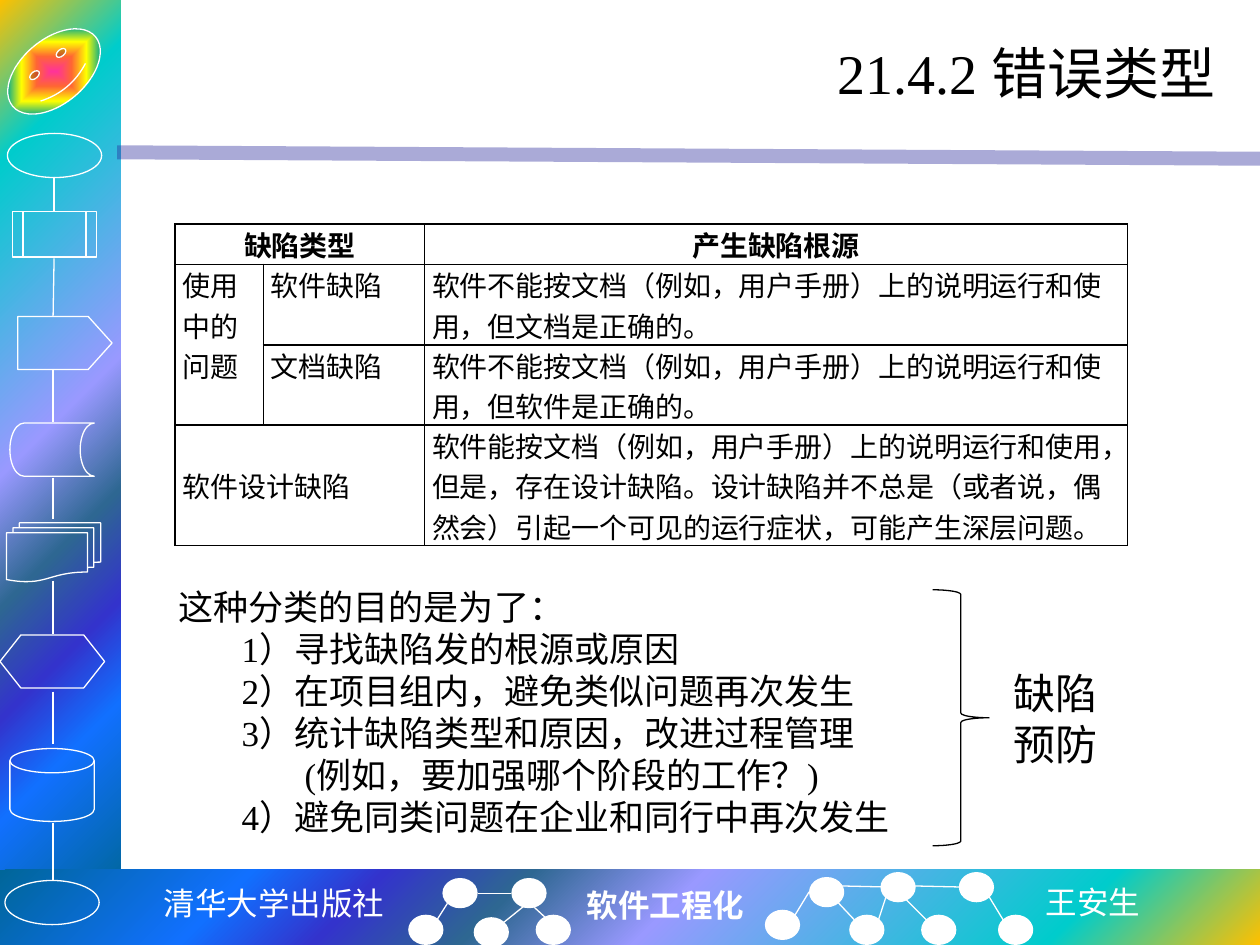
from lxml import etree
from pptx import Presentation
from pptx import util as u
from pptx.dml.color import RGBColor
from pptx.enum import shapes, text
from pptx.oxml import parse_xml
from pptx.oxml.ns import nsdecls, qn

WHITE = RGBColor(0xFF, 0xFF, 0xFF)
BLACK = RGBColor(0, 0, 0)
INDIGO = RGBColor(0x26, 0x26, 0x99)
RAINBOW = [(0, RGBColor(0xFF, 0xC0, 0x00)), (16, RGBColor(0x00, 0xCC, 0xCC)),
           (47, RGBColor(0x99, 0x99, 0xFF)), (60, RGBColor(0x2E, 0x67, 0x92)),
           (71, RGBColor(0x33, 0x33, 0xCC)), (81, RGBColor(0x11, 0x70, 0xFF)),
           (100, RGBColor(0x00, 0x66, 0x99))]
BADGE = [(0, RGBColor(0xFF, 0x33, 0x99)), (25, RGBColor(0xFF, 0x66, 0x33)),
         (50, RGBColor(0xFF, 0xFF, 0x00)), (75, RGBColor(0x01, 0xA7, 0x8F)),
         (100, RGBColor(0x33, 0x66, 0xFF))]
SERIF = "Times New Roman"
SANS = "Noto Sans CJK SC"
MONO = "Noto Sans Mono"
KIND = shapes.MSO_SHAPE
LEFT, CENTER, RIGHT = text.PP_ALIGN.LEFT, text.PP_ALIGN.CENTER, text.PP_ALIGN.RIGHT


def cm(*lengths):
    return [u.Cm(length) for length in lengths]


class SlideBuilder:
    """Holds the current slide and its shared style."""

    def __init__(self, slide):
        self.slide = slide
        self.items = slide.shapes

    def add_words(self, para, words, size, color=BLACK, bold=False, font=SERIF):
        span = para.add_run()
        span.text = words
        span.font.size = u.Pt(size)
        span.font.name = font
        span.font.bold = bold
        span.font.color.rgb = color
        east = etree.SubElement(span.font._element, qn("a:ea"))
        east.set("typeface", SANS)

    def title(self, words, *place):
        box = self.items.title
        box.left, box.top, box.width, box.height = cm(*place)
        box.text_frame.vertical_anchor = text.MSO_ANCHOR.MIDDLE
        para = box.text_frame.paragraphs[0]
        para.alignment = RIGHT
        self.add_words(para, words, 32)

    def shape(self, kind, *place, line=WHITE, fill=None):
        shape = self.items.add_shape(kind, *cm(*place))
        shape.shadow.inherit = False
        if fill is None:
            shape.fill.background()
        else:
            shape.fill.solid()
            shape.fill.fore_color.rgb = fill
        if line is None:
            shape.line.fill.background()
        else:
            shape.line.color.rgb = line
            shape.line.width = u.Pt(0.75)
        return shape

    def gradient(self, shape, stops, kind, focus):
        marks = "".join(f'<a:gs pos="{at * 1000}"><a:srgbClr val="{color}"/></a:gs>'
                        for at, color in stops)
        sides = " ".join(f'{side}="{share * 1000}"' for side, share in zip("ltrb", focus))
        fill = parse_xml(f'<a:gradFill {nsdecls("a")} rotWithShape="1"><a:gsLst>{marks}</a:gsLst>'
                         f'<a:path path="{kind}"><a:fillToRect {sides}/></a:path></a:gradFill>')
        props = shape._element.spPr
        props.replace(props.find(qn("a:noFill")), fill)

    def line(self, *ends, color=WHITE, width=0.75, alpha=None):
        line = self.items.add_connector(shapes.MSO_CONNECTOR.STRAIGHT, *cm(*ends))
        line.line.color.rgb = color
        line.line.width = u.Pt(width)
        props = line._element.spPr
        if alpha:
            tint = next(props.iter(qn("a:srgbClr")))
            etree.SubElement(tint, qn("a:alpha")).set("val", str(alpha * 1000))
        etree.SubElement(props, qn("a:effectLst"))

    def text(self, lines, *place, size, wrap=False, align=LEFT, **style):
        """Each line is a pair of words and indent level."""
        box = self.items.add_textbox(*cm(*place))
        frame = box.text_frame
        frame.word_wrap = wrap
        for number, (words, level) in enumerate(lines):
            para = frame.add_paragraph() if number else frame.paragraphs[0]
            para.level = level
            para.alignment = align
            para.line_spacing = u.Pt(size * 1.2)
            props = para._p.get_or_add_pPr()
            props.set("marL", str(u.Cm(1.27 * level)))
            props.set("indent", "0")
            self.add_words(para, words, size, **style)

    def table(self, rows, widths, heights, merges, left, top):
        frame = self.items.add_table(len(rows), len(widths),
                                     *cm(left, top, sum(widths), sum(heights)))
        table = frame.table
        table.first_row = table.horz_banding = False
        for column, width in zip(table.columns, widths):
            column.width = u.Cm(width)
        for row, height in zip(table.rows, heights):
            row.height = u.Cm(height)
        for first, last in merges:
            table.cell(*first).merge(table.cell(*last))
        for r, row in enumerate(rows):
            for c, words in enumerate(row):
                self.cell(table.cell(r, c), words, header=r == 0)
        return table

    def cell(self, cell, words, header):
        cell.margin_left = cell.margin_right = u.Cm(0.15)
        cell.margin_top = cell.margin_bottom = 0
        cell.fill.background()
        props = cell._tc.get_or_add_tcPr()
        for place, side in enumerate(("lnL", "lnR", "lnT", "lnB")):
            props.insert(place, parse_xml(
                f'<a:{side} {nsdecls("a")} w="{u.Pt(1)}"><a:solidFill>'
                f'<a:srgbClr val="{BLACK}"/></a:solidFill></a:{side}>'))
        if words:
            para = cell.text_frame.paragraphs[0]
            para.alignment = CENTER if header else LEFT
            self.add_words(para, words, 16, bold=header)


def draw_frame(page):
    # Side and bottom bands, and the rule under the title
    side = page.shape(KIND.RECTANGLE, 0, 0, 2.44, 18.01, line=None)
    page.gradient(side, RAINBOW, "circle", (0, 0, 100, 100))
    bottom = page.shape(KIND.RECTANGLE, 0, 17.53, 25.4, 1.52, line=None)
    page.gradient(bottom, RAINBOW, "circle", (100, 100, 0, 0))
    page.line(2.36, 3.07, 25.4, 3.2, color=INDIGO, width=8, alpha=39)

    # Flowchart down the side
    for kind, *place in [
            (KIND.OVAL, 0.15, 2.69, 1.9, 0.89),
            (KIND.FLOWCHART_PREDEFINED_PROCESS, 0.25, 4.27, 1.7, 0.91),
            (KIND.FLOWCHART_STORED_DATA, 0.2, 8.53, 1.7, 1.07),
            (KIND.FLOWCHART_MULTIDOCUMENT, 0.13, 10.54, 1.9, 1.19),
            (KIND.FLOWCHART_PREPARATION, 0, 12.8, 2.11, 1.07),
            (KIND.FLOWCHART_MAGNETIC_DISK, 0.2, 15.09, 1.7, 1.47),
            (KIND.OVAL, 0.1, 17.75, 1.9, 0.89)]:
        page.shape(kind, *place)
    page.shape(KIND.PENTAGON, 0.36, 6.38, 1.9, 1.07).adjustments[0] = 0.45
    badge = page.shape(KIND.SMILEY_FACE, 0, 0.79, 2.18, 1.3)
    badge.adjustments[0] = 0.05
    badge.rotation = -40
    page.gradient(badge, BADGE, "shape", (50, 50, 50, 50))
    page.line(1.09, 3.56, 1.09, 4.27)
    page.line(1.09, 5.21, 1.07, 6.38)
    for start, end in [(7.44, 8.51), (9.63, 10.46), (11.71, 12.78),
                       (13.94, 14.99), (16.59, 17.75)]:
        page.line(1.07, start, 1.07, end)

    # Node trees and labels along the bottom
    for x, y in [(8.92, 17.7), (10.31, 17.7), (8.23, 18.44), (9.55, 18.49),
                 (10.8, 18.44), (15.42, 18.34), (16.31, 17.68), (17.12, 18.44),
                 (17.75, 17.58), (18.57, 18.44), (19.33, 17.58), (20.12, 18.44)]:
        page.shape(KIND.OVAL, x, y, 0.71, 0.61, line=None, fill=WHITE)
    for ends in [(8.81, 18.54, 9.02, 18.21), (10.16, 18.59, 10.57, 18.26),
                 (10.31, 18.01, 9.63, 18.01), (11.02, 18.52, 10.77, 18.29),
                 (16.03, 18.44, 16.31, 17.98), (17.22, 18.54, 16.89, 18.19),
                 (16.97, 17.86, 17.86, 17.88), (17.7, 18.57, 17.86, 18.08),
                 (18.67, 18.54, 18.16, 18.03), (18.44, 17.86, 19.33, 17.88),
                 (20.22, 18.54, 19.94, 18.08)]:
        page.line(*ends)
    page.text([("清华大学出版社", 0)], 3.02, 17.7, 5, 1.02, size=18, align=CENTER,
              color=WHITE, font=MONO)
    page.text([("软件工程化", 0)], 11.58, 17.73, 3.71, 1.02, size=18, color=WHITE, bold=True)
    page.text([("王安生", 0)], 20.83, 17.68, 2.44, 1.02, size=18, color=WHITE, font=SANS)


def draw_content(page):
    page.title("21.4.2 错误类型", 3.18, 0.43, 21.59, 2.06)

    # Defect types and their causes
    page.table(
        [("缺陷类型", "", "产生缺陷根源"),
         ("使用中的问题", "软件缺陷",
          "软件不能按文档（例如，用户手册）上的说明运行和使用，但文档是正确的。"),
         ("", "文档缺陷",
          "软件不能按文档（例如，用户手册）上的说明运行和使用，但软件是正确的。"),
         ("软件设计缺陷", "",
          "软件能按文档（例如，用户手册）上的说明运行和使用，但是，存在设计缺陷。"
          "设计缺陷并不总是（或者说，偶然会）引起一个可见的运行症状，可能产生深层问题。")],
        widths=(1.78, 3.25, 14.17), heights=(0.81, 1.62, 1.62, 2.43),
        merges=[((0, 0), (0, 1)), ((1, 0), (2, 0)), ((3, 0), (3, 1))],
        left=3.53, top=4.52).cell(3, 0).vertical_anchor = text.MSO_ANCHOR.MIDDLE

    # Purposes, gathered by a brace
    page.text([("这种分类的目的是为了：", 0),
               ("1）寻找缺陷发的根源或原因", 1),
               ("2）在项目组内，避免类似问题再次发生", 1),
               ("3）统计缺陷类型和原因，改进过程管理", 1),
               ("(例如，要加强哪个阶段的工作？)", 2),
               ("4）避免同类问题在企业和同行中再次发生", 1)],
              3.35, 11.68, 16.59, 5.38, size=20, wrap=True)
    page.shape(KIND.RIGHT_BRACE, 18.8, 11.89, 1.14, 5.16, line=BLACK)
    page.text([("缺陷", 0), ("预防", 0)], 20.19, 13.34, 2.24, 2.31, size=24)


def main():
    deck = Presentation()
    deck.slide_width, deck.slide_height = cm(25.4, 19.05)
    page = SlideBuilder(deck.slides.add_slide(deck.slide_layouts[5]))
    draw_frame(page)
    draw_content(page)
    deck.save("out.pptx")


if __name__ == "__main__":
    main()
